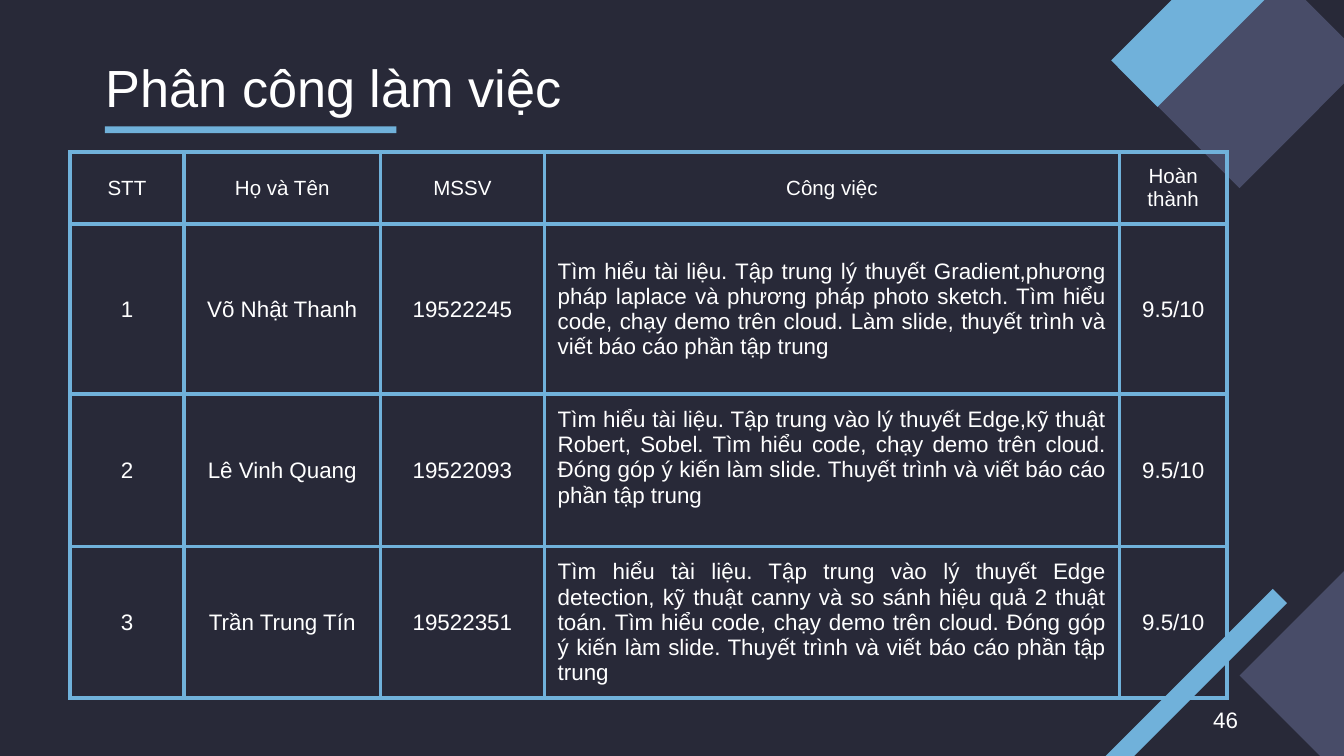
from dataclasses import dataclass

from lxml.etree import SubElement
from pptx import Presentation
from pptx.dml.color import RGBColor
from pptx.enum.shapes import MSO_SHAPE
from pptx.enum.text import MSO_ANCHOR, MSO_AUTO_SIZE, PP_ALIGN
from pptx.oxml.ns import qn
from pptx.slide import Slide
from pptx.table import _Cell
from pptx.text.text import TextFrame
from pptx.util import Cm, Pt

BACKGROUND = "282938"
PURPLE = "484C68"
BLUE = "70B1DA"
WHITE = "FFFFFF"
FONT = "Arial"
INSET = 0.25


@dataclass
class Bar:
    """A rotated rectangle; lengths in centimetres."""
    left: float
    top: float
    width: float
    height: float
    color: str
    rotation: float = 45


@dataclass
class Member:
    name: str
    student_id: str
    work: str
    score: str
    row_height: float
    bottom_inset: float = INSET


BARS = [
    Bar(24.13, 11.07, 3.4, 3.4, PURPLE),
    Bar(22.61, -0.18, 2.36, 3.4, PURPLE),
    Bar(22.02, -1.32, 1.24, 3.4, BLUE),
    Bar(22.05, 10.46, 0.38, 5.51, BLUE),
    Bar(4.67, -0.3, 0.13, 5.51, BLUE, rotation=90),
]
HEADINGS = ["STT", "Họ và Tên", "MSSV", "Công việc", "Hoàn thành"]
HEADING_HEIGHT = 1.37
COLUMN_WIDTHS = [2.16, 3.71, 3.1, 10.87, 2.03]
WORK_COLUMN = HEADINGS.index("Công việc")
MEMBERS = [
    Member("Võ Nhật Thanh", "19522245",
           "Tìm hiểu tài liệu. Tập trung lý thuyết Gradient,phương pháp laplace và "
           "phương pháp photo sketch. Tìm hiểu code, chạy demo trên cloud. Làm slide, "
           "thuyết trình và viết báo cáo phần tập trung", "9.5/10", 3.21),
    Member("Lê Vinh Quang", "19522093",
           "Tìm hiểu tài liệu. Tập trung vào lý thuyết Edge,kỹ thuật Robert, Sobel. "
           "Tìm hiểu code, chạy demo trên cloud. Đóng góp ý kiến làm slide. Thuyết "
           "trình và viết báo cáo phần tập trung", "9.5/10", 2.87, bottom_inset=0.73),
    Member("Trần Trung Tín", "19522351",
           "Tìm hiểu tài liệu. Tập trung vào lý thuyết Edge detection, kỹ thuật canny "
           "và so sánh hiệu quả 2 thuật toán. Tìm hiểu code, chạy demo trên cloud. "
           "Đóng góp ý kiến làm slide. Thuyết trình và viết báo cáo phần tập trung",
           "9.5/10", 2.87),
]


def rgb(color: str) -> RGBColor:
    return RGBColor.from_string(color)


def write(frame: TextFrame, text: str, *, size: float = 12, color: str = WHITE,
          align: PP_ALIGN = PP_ALIGN.CENTER) -> None:
    paragraph = frame.paragraphs[0]
    paragraph.alignment = align
    run = paragraph.add_run()
    run.text = text
    run.font.name = FONT
    run.font.size = Pt(size)
    run.font.color.rgb = rgb(color)


def set_up_frame(frame: TextFrame, vertical_inset: float) -> None:
    frame.word_wrap = True
    frame.auto_size = MSO_AUTO_SIZE.NONE
    frame.vertical_anchor = MSO_ANCHOR.MIDDLE
    frame.margin_left = frame.margin_right = Cm(INSET)
    frame.margin_top = frame.margin_bottom = Cm(vertical_inset)


def draw_bar(slide: Slide, bar: Bar) -> None:
    shape = slide.shapes.add_shape(MSO_SHAPE.RECTANGLE, Cm(bar.left), Cm(bar.top),
                                   Cm(bar.width), Cm(bar.height))
    shape.rotation = bar.rotation
    shape.shadow.inherit = False
    shape.fill.solid()
    shape.fill.fore_color.rgb = rgb(bar.color)
    shape.line.fill.background()


def add_borders(cell: _Cell, color: str, width: float) -> None:
    properties = cell._tc.get_or_add_tcPr()
    for position, side in enumerate(("a:lnL", "a:lnR", "a:lnT", "a:lnB")):
        line = SubElement(properties, qn(side), w=str(Pt(width)))
        fill = SubElement(line, qn("a:solidFill"))
        SubElement(fill, qn("a:srgbClr"), val=color)
        properties.insert(position, line)


def fill_cell(cell: _Cell, text: str, size: float, align: PP_ALIGN,
              bottom_inset: float = INSET) -> None:
    cell.fill.background()
    add_borders(cell, BLUE, 2.25)
    cell.vertical_anchor = MSO_ANCHOR.MIDDLE
    cell.margin_left = cell.margin_right = cell.margin_top = Cm(INSET)
    cell.margin_bottom = Cm(bottom_inset)
    write(cell.text_frame, text, size=size, align=align)


def draw_assignments(slide: Slide) -> None:
    heights = [HEADING_HEIGHT] + [member.row_height for member in MEMBERS]
    table = slide.shapes.add_table(len(heights), len(HEADINGS), Cm(1.32), Cm(2.87),
                                   Cm(sum(COLUMN_WIDTHS)), Cm(sum(heights))).table
    table.first_row = table.horz_banding = False
    for column, width in zip(table.columns, COLUMN_WIDTHS):
        column.width = Cm(width)
    for row, height in zip(table.rows, heights):
        row.height = Cm(height)

    for column, heading in enumerate(HEADINGS):
        fill_cell(table.cell(0, column), heading, 11, PP_ALIGN.CENTER)
    for number, member in enumerate(MEMBERS, start=1):
        values = [str(number), member.name, member.student_id, member.work, member.score]
        for column, value in enumerate(values):
            if column == WORK_COLUMN:
                fill_cell(table.cell(number, column), value, 12, PP_ALIGN.JUSTIFY,
                          member.bottom_inset)
            else:
                fill_cell(table.cell(number, column), value, 12, PP_ALIGN.CENTER)


def draw_title(slide: Slide, text: str) -> None:
    title = slide.shapes.title
    title.left, title.top, title.width, title.height = Cm(1.75), Cm(0.89), Cm(21.44), Cm(1.5)
    set_up_frame(title.text_frame, INSET)
    write(title.text_frame, text, size=28, align=PP_ALIGN.LEFT)


def draw_page_number(slide: Slide, number: int) -> None:
    box = slide.shapes.add_textbox(Cm(17.93), Cm(13.23), Cm(5.72), Cm(0.76))
    set_up_frame(box.text_frame, 0.13)
    write(box.text_frame, str(number), align=PP_ALIGN.RIGHT)


def main() -> None:
    presentation = Presentation()
    presentation.slide_width, presentation.slide_height = Cm(25.4), Cm(14.29)
    slide = presentation.slides.add_slide(presentation.slide_layouts.get_by_name("Title Only"))
    slide.background.fill.solid()
    slide.background.fill.fore_color.rgb = rgb(BACKGROUND)

    draw_title(slide, "Phân công làm việc")
    for bar in BARS:
        draw_bar(slide, bar)
    draw_assignments(slide)
    draw_page_number(slide, 46)
    presentation.save("out.pptx")


if __name__ == "__main__":
    main()
